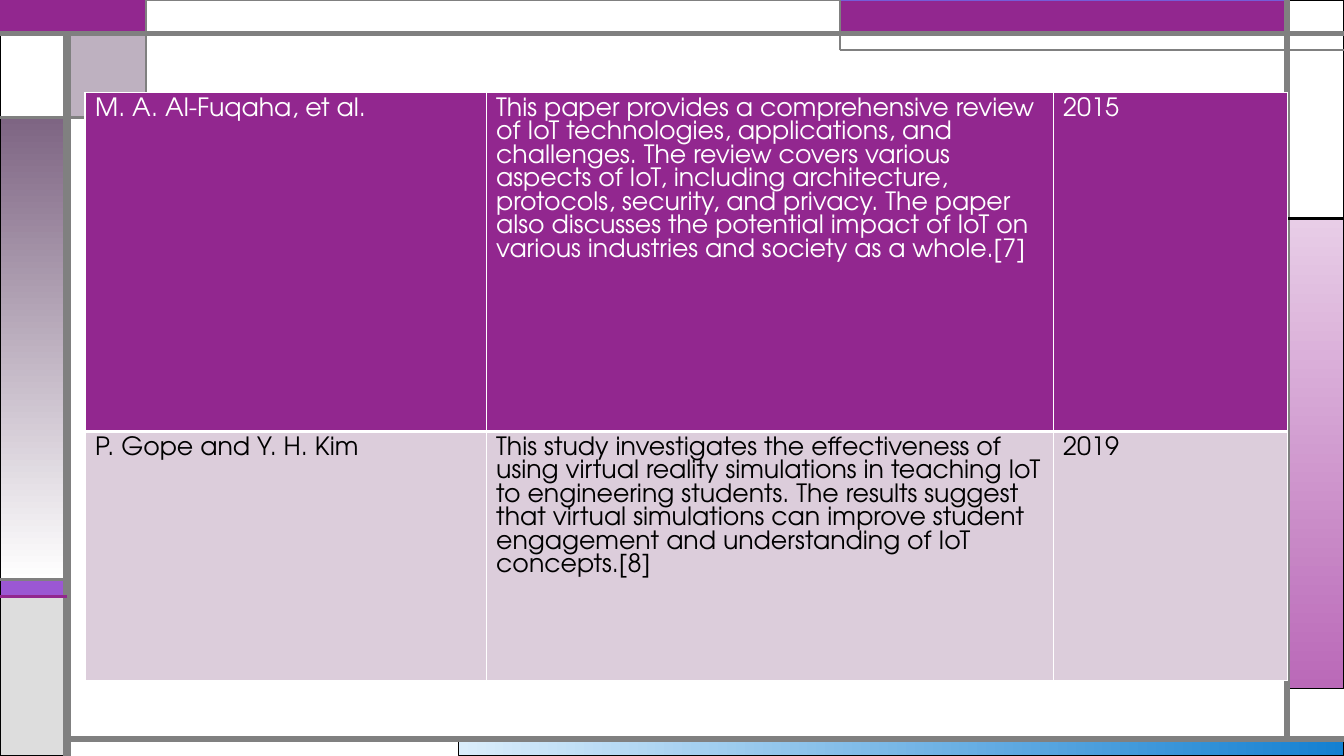
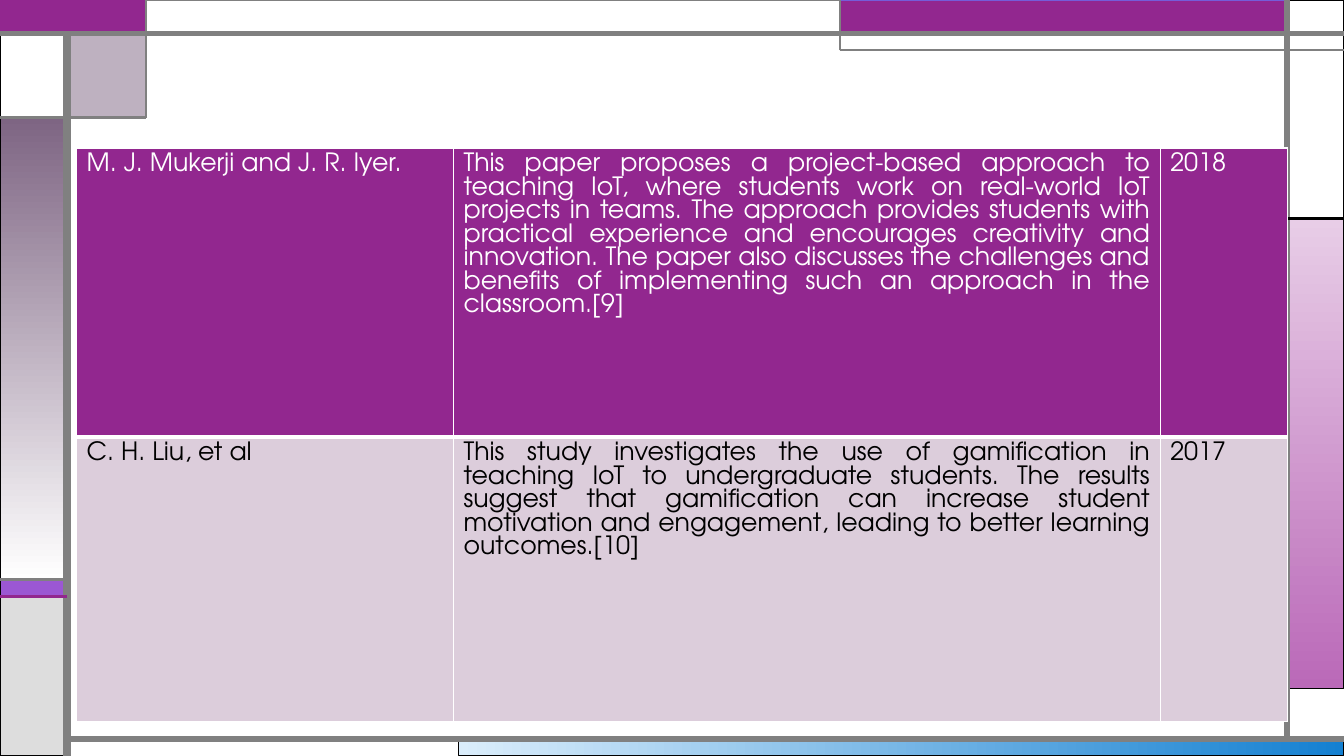
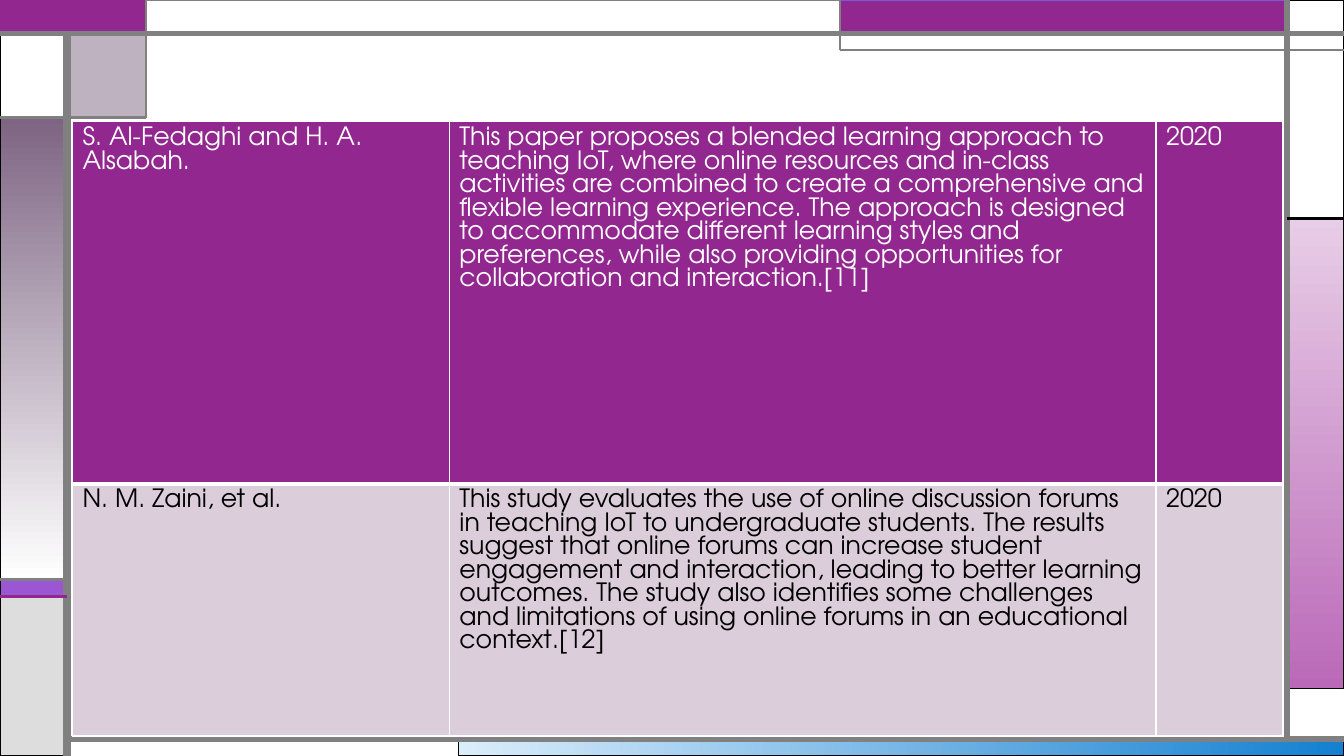
from lxml.etree import SubElement
from pptx import Presentation
from pptx.dml.color import RGBColor
from pptx.enum.shapes import MSO_CONNECTOR, MSO_SHAPE
from pptx.enum.text import PP_ALIGN
from pptx.oxml.ns import qn
from pptx.util import Pt

PX = 9525  # EMU per px, 96 px to the inch
W, H = 1280, 720
FONT = "TeX Gyre Adventor"

WHITE = RGBColor(0xFF, 0xFF, 0xFF)
BLACK = RGBColor(0x00, 0x00, 0x00)
GRAY = RGBColor(0x80, 0x80, 0x80)
SILVER = RGBColor(0xDD, 0xDD, 0xDD)
PURPLE = RGBColor(0x92, 0x27, 0x8F)
VIOLET = RGBColor(0x9B, 0x57, 0xD3)
INDIGO = RGBColor(0x75, 0x5D, 0xD9)
MAUVE = RGBColor(0x7E, 0x65, 0x83)
LILAC = RGBColor(0xDC, 0xCD, 0xDB)
PINK = RGBColor(0xE8, 0xCD, 0xE7)
ORCHID = RGBColor(0xBA, 0x69, 0xB8)
ICE = RGBColor(0xDA, 0xED, 0xFB)
BLUE = RGBColor(0x14, 0x80, 0xD1)

# Grid lines of the frame
LEFT, TAB, MID, RIGHT = 64, 139, 800, 1226
TOP, STEP, TAB_END, SIDE, STRIPE, STRIPE_END, BOTTOM = 32, 48, 112, 208, 552, 568, 704
ACROSS, DOWN = 0, 270  # gradient angles, counter-clockwise

# left, top, right, bottom, fill (a colour, or two colours and an angle), line, width
PANELS = [
    (437, BOTTOM, W, H, (ICE, BLUE, ACROSS), BLACK, 0.75),
    (RIGHT, SIDE, W, 656, (PINK, ORCHID, DOWN), BLACK, 0.75),
    (0, STRIPE, LEFT, STRIPE_END, VIOLET, BLACK, 0.75),
    (0, STRIPE_END, LEFT, H, SILVER, BLACK, 0.75),
    (RIGHT, 0, W, SIDE, WHITE, BLACK, 0.75),
    (MID, 0, RIGHT, TOP, PURPLE, INDIGO, 0.75),
    (LEFT, TOP, TAB, TAB_END, MAUVE, BLACK, 0.75),
    (0, TAB_END, LEFT, STRIPE, (MAUVE, WHITE, DOWN), BLACK, 0.75),
    (0, TOP, LEFT, TAB_END, WHITE, BLACK, 0.75),
    (0, 0, TAB, TOP, PURPLE, PURPLE, 1.5),
    (TAB, 0, MID, TOP, WHITE, GRAY, 0.75),
]
SEE_THROUGH = {MAUVE: 50}  # opacity in percent

# from x, from y, to x, to y, colour, width
RULES = [
    (LEFT, H, LEFT, TOP, GRAY, 6),
    (LEFT, BOTTOM, W, BOTTOM, GRAY, 4.5),
    (RIGHT, BOTTOM, RIGHT, 0, GRAY, 4.5),
    (0, TOP, W, TOP, GRAY, 3),
    (W, STEP, MID, STEP, GRAY, 1.5),
    (MID, STEP, MID, 0, GRAY, 1.5),
    (RIGHT, SIDE, W, SIDE, BLACK, 2.25),
    (TAB, 0, TAB, TAB_END, GRAY, 1.5),
    (TAB, TAB_END, 0, TAB_END, GRAY, 2.25),
    (LEFT, STRIPE, 0, STRIPE, GRAY, 2.25),
    (LEFT, STRIPE_END, 0, STRIPE_END, PURPLE, 2.25),
]

NARROW_YEAR = (359, 673, 121)
REVIEWS = [
    dict(at=(81, 88), cols=(382, 540, 223), rows=(323, 237), align=PP_ALIGN.LEFT, papers=[
        ("M. A. Al-Fuqaha, et al.",
         "This paper provides a comprehensive review of IoT technologies, applications, and "
         "challenges. The review covers various aspects of IoT, including architecture, "
         "protocols, security, and privacy. The paper also discusses the potential impact of "
         "IoT on various industries and society as a whole.[7]", "2015"),
        ("P. Gope and Y. H. Kim",
         "This study investigates the effectiveness of using virtual reality simulations in "
         "teaching IoT to engineering students. The results suggest that virtual simulations "
         "can improve student engagement and understanding of IoT concepts.[8]", "2019"),
    ]),
    dict(at=(73, 141), cols=NARROW_YEAR, rows=(275, 271), align=PP_ALIGN.JUSTIFY, papers=[
        ("M. J. Mukerji and J. R. Iyer.",
         "This paper proposes a project-based approach to teaching IoT, where students work "
         "on real-world IoT projects in teams. The approach provides students with practical "
         "experience and encourages creativity and innovation. The paper also discusses the "
         "challenges and benefits of implementing such an approach in the classroom.[9]", "2018"),
        ("C. H. Liu, et al",
         "This study investigates the use of gamification in teaching IoT to undergraduate "
         "students. The results suggest that gamification can increase student motivation and "
         "engagement, leading to better learning outcomes.[10]", "2017"),
    ]),
    dict(at=(69, 116), cols=NARROW_YEAR, rows=(345, 240), align=PP_ALIGN.LEFT, papers=[
        ("S. Al-Fedaghi and H. A. Alsabah.",
         "This paper proposes a blended learning approach to teaching IoT, where online "
         "resources and in-class activities are combined to create a comprehensive and "
         "flexible learning experience. The approach is designed to accommodate different "
         "learning styles and preferences, while also providing opportunities for "
         "collaboration and interaction.[11]", "2020"),
        ("N. M. Zaini, et al.",
         "This study evaluates the use of online discussion forums in teaching IoT to "
         "undergraduate students. The results suggest that online forums can increase student "
         "engagement and interaction, leading to better learning outcomes. The study also "
         "identifies some challenges and limitations of using online forums in an educational "
         "context.[12]", "2020"),
    ]),
]

# fill, text colour, border widths for left, right, top, bottom
ROW_STYLES = [
    (PURPLE, WHITE, dict(lnL=1, lnR=1, lnT=1, lnB=3)),
    (LILAC, BLACK, dict(lnL=1, lnR=1, lnT=3, lnB=1)),
]


def emu(*lengths):
    return [n * PX for n in lengths]


def add_panel(s, left, top, right, bottom, fill, line, width):
    sp = s.shapes.add_shape(MSO_SHAPE.RECTANGLE, *emu(left, top, right - left, bottom - top))
    sp.shadow.inherit = False
    if isinstance(fill, RGBColor):
        sp.fill.solid()
        sp.fill.fore_color.rgb = fill
        if fill in SEE_THROUGH:
            color = sp.element.spPr.find(qn("a:solidFill"))[0]
            SubElement(color, qn("a:alpha"), val=str(SEE_THROUGH[fill] * 1000))
    else:
        *colors, angle = fill
        sp.fill.gradient()
        sp.fill.gradient_angle = angle
        for stop, color in zip(sp.fill.gradient_stops, colors):
            stop.color.rgb = color
    sp.line.color.rgb = line
    sp.line.width = Pt(width)
    return sp


def add_rule(s, x1, y1, x2, y2, color, width):
    rule = s.shapes.add_connector(MSO_CONNECTOR.STRAIGHT, *emu(x1, y1, x2, y2))
    rule.line.color.rgb = color
    rule.line.width = Pt(width)
    SubElement(rule.element.spPr, qn("a:effectLst"))
    return rule


def move_to_master(prs, shapes):
    """Shapes can only be drawn on a slide, so the frame is moved from there."""
    for number, sp in enumerate(shapes, 100):
        sp.element.xpath(".//p:cNvPr")[0].set("id", str(number))
        prs.slide_master.shapes.element.append(sp.element)


def format_cell(cell, text, align, fill, color, borders):
    tcPr = cell._tc.get_or_add_tcPr()
    for side, width in borders.items():
        ln = SubElement(tcPr, qn(f"a:{side}"), w=str(Pt(width)))
        SubElement(SubElement(ln, qn("a:solidFill")), qn("a:srgbClr"), val=str(WHITE))
    cell.fill.solid()
    cell.fill.fore_color.rgb = fill
    p = cell.text_frame.paragraphs[0]
    p.alignment = align
    r = p.add_run()
    r.text = text
    r.font.name = FONT
    r.font.size = Pt(18)
    r.font.bold = False
    r.font.color.rgb = color


def add_review(s, at, cols, rows, align, papers):
    table = s.shapes.add_table(len(rows), len(cols), *emu(*at, sum(cols), sum(rows))).table
    table.first_row = table.horz_banding = False
    for column, width in zip(table.columns, emu(*cols)):
        column.width = width
    for row, height, paper, style in zip(table.rows, emu(*rows), papers, ROW_STYLES):
        row.height = height
        aligns = (PP_ALIGN.LEFT, align, PP_ALIGN.LEFT)
        for cell, text, cell_align in zip(row.cells, paper, aligns):
            format_cell(cell, text, cell_align, *style)


def main():
    prs = Presentation()
    prs.slide_width, prs.slide_height = emu(W, H)
    slides = [prs.slides.add_slide(prs.slide_layouts[6]) for _ in REVIEWS]
    frame = [add_panel(slides[0], *panel) for panel in PANELS]
    frame += [add_rule(slides[0], *rule) for rule in RULES]
    move_to_master(prs, frame)
    for s, review in zip(slides, REVIEWS):
        add_review(s, **review)
    prs.save("out.pptx")


if __name__ == "__main__":
    main()
